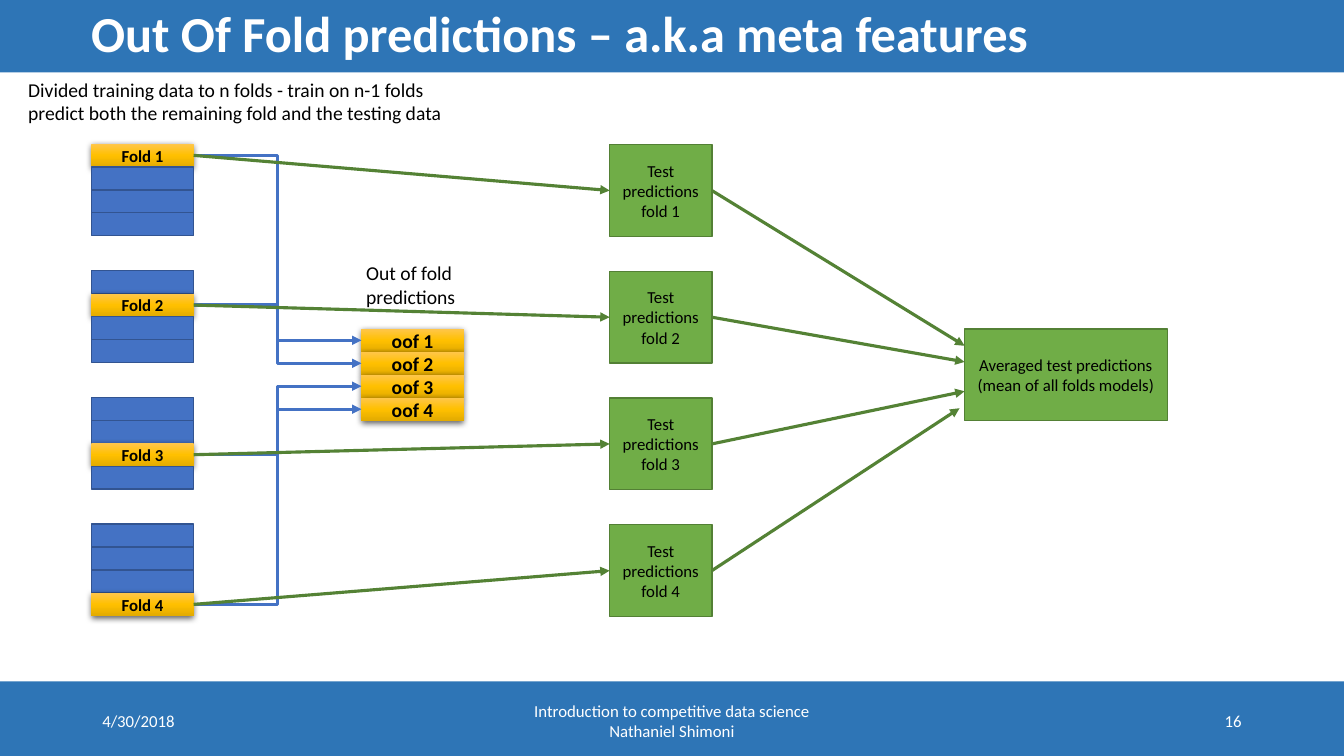
from pptx import Presentation
from pptx.dml.color import RGBColor
from pptx.enum.shapes import MSO_CONNECTOR, MSO_SHAPE
from pptx.enum.text import MSO_ANCHOR, PP_ALIGN
from pptx.oxml import parse_xml
from pptx.oxml.ns import nsdecls
from pptx.util import Pt

BAR_BLUE = RGBColor(0x2E, 0x75, 0xB6)
FOLD_BLUE = RGBColor(0x44, 0x72, 0xC4)
FOLD_EDGE = RGBColor(0x32, 0x54, 0x91)
GREEN = RGBColor(0x70, 0xAD, 0x47)
GREEN_EDGE = RGBColor(0x53, 0x80, 0x35)
GREEN_ARROW = RGBColor(0x54, 0x82, 0x35)
WHITE = RGBColor(0xFF, 0xFF, 0xFF)
BLACK = RGBColor(0, 0, 0)

GOLD_FILL = f"""<a:gradFill {nsdecls('a')} rotWithShape="1"><a:gsLst>
<a:gs pos="0"><a:srgbClr val="FFC64B"/></a:gs>
<a:gs pos="50000"><a:srgbClr val="FFC000"/></a:gs>
<a:gs pos="100000"><a:srgbClr val="E3AB00"/></a:gs>
</a:gsLst><a:lin ang="5400000" scaled="0"/></a:gradFill>"""
GOLD_SHADOW = f"""<a:effectLst {nsdecls('a')}>
<a:outerShdw blurRad="{Pt(4.5)}" dist="{Pt(1.5)}" dir="5400000" algn="ctr" rotWithShape="0">
<a:srgbClr val="000000"><a:alpha val="63000"/></a:srgbClr></a:outerShdw></a:effectLst>"""


class SlideBuilder:
    font = "Calibri"

    def __init__(self, page):
        self.page = page

    def set_text(self, box, lines, size, color=BLACK, bold=False,
                 align=PP_ALIGN.CENTER, anchor=MSO_ANCHOR.MIDDLE):
        frame = box.text_frame
        frame.word_wrap = True
        frame.vertical_anchor = anchor
        frame.text = lines
        for para in frame.paragraphs:
            para.alignment = align
            para.font.name = self.font
            para.font.size = Pt(size)
            para.font.bold = bold
            para.font.color.rgb = color

    def text(self, left, top, width, height, lines, size, **style):
        box = self.page.shapes.add_textbox(Pt(left), Pt(top), Pt(width), Pt(height))
        self.set_text(box, lines, size, **style)
        return box

    def rect(self, left, top, width, height, fill, edge=None):
        box = self.page.shapes.add_shape(
            MSO_SHAPE.RECTANGLE, Pt(left), Pt(top), Pt(width), Pt(height))
        box.shadow.inherit = False
        box.fill.solid()
        box.fill.fore_color.rgb = fill
        if edge is None:
            box.line.fill.background()
        else:
            box.line.color.rgb = edge
            box.line.width = Pt(1)
        return box

    def gold(self, left, top, width, height, label, size):
        box = self.rect(left, top, width, height, WHITE)
        properties = box.element.spPr
        for tag, xml in (("solidFill", GOLD_FILL), ("effectLst", GOLD_SHADOW)):
            properties.replace(properties.xpath(f"./a:{tag}")[0], parse_xml(xml))
        self.set_text(box, label, size, bold=True)

    def green(self, left, top, width, height, label):
        self.set_text(self.rect(left, top, width, height, GREEN, GREEN_EDGE), label, 12)

    def arrow(self, start, end, color, kind=MSO_CONNECTOR.STRAIGHT):
        connector = self.page.shapes.add_connector(kind, *map(Pt, start + end))
        connector.line.color.rgb = color
        connector.line.width = Pt(2.25)
        properties = connector.element.spPr
        properties.xpath("./a:ln")[0].append(
            parse_xml(f'<a:tailEnd {nsdecls("a")} type="triangle"/>'))
        properties.append(parse_xml(f'<a:effectLst {nsdecls("a")}/>'))


deck = Presentation()
deck.slide_width, deck.slide_height = Pt(960), Pt(540)
slide = SlideBuilder(deck.slides.add_slide(deck.slide_layouts[6]))

# Footer and title bars
slide.rect(0, 486.7, 960, 53.3, BAR_BLUE)
slide.text(66, 500.5, 216, 28.8, "4/30/2018", 12, color=WHITE, align=PP_ALIGN.LEFT)
slide.text(318, 500.5, 324, 28.8,
           "Introduction to competitive data science\nNathaniel Shimoni", 12, color=WHITE)
slide.text(678, 500.5, 216, 28.8, "16", 12, color=WHITE, align=PP_ALIGN.RIGHT)
slide.rect(0, -1.5, 960, 53.3, BAR_BLUE)
title = slide.text(58, 0, 828, 51.8, "Out Of Fold predictions – a.k.a meta features", 36,
                   color=WHITE, bold=True, align=PP_ALIGN.LEFT)
title.text_frame.paragraphs[0].line_spacing = 0.9

slide.text(13, 52, 327.6, 41,
           "Divided training data to n folds - train on n-1 folds "
           "predict both the remaining fold and the testing data",
           14, align=PP_ALIGN.LEFT, anchor=MSO_ANCHOR.TOP)

# Shared grid
COUNT = 4
ROW, WIDTH = 16.4, 73
BLOCK = COUNT * ROW
FOLD_LEFT, OOF_LEFT, TEST_LEFT, MEAN_LEFT = 65.3, 258.2, 435.5, 689
FOLD_TOP, TEST_TOP, OOF_TOP, PITCH = 102.8, 103.3, 234.9, 90.5
MEAN_ENDS = [(689, 247), (689, 258.5), (689, 279.5), (685.4, 291.6)]

fold_ends = [(FOLD_LEFT + WIDTH, FOLD_TOP + i * (PITCH + ROW) + ROW / 2) for i in range(COUNT)]
oof_starts = [(OOF_LEFT, OOF_TOP + (i + 0.5) * ROW) for i in range(COUNT)]
test_tops = [TEST_TOP + i * PITCH for i in range(COUNT)]

# Training data: each block holds out one fold
for block in range(COUNT):
    for row in range(COUNT):
        cell = (FOLD_LEFT, FOLD_TOP + block * PITCH + row * ROW, WIDTH, ROW)
        if row == block:
            slide.gold(*cell, f"Fold {block + 1}", 12)
        else:
            slide.rect(*cell, FOLD_BLUE, FOLD_EDGE)

# Out of fold stack and test predictions
for i in range(COUNT):
    slide.gold(OOF_LEFT, OOF_TOP + i * ROW, WIDTH, ROW, f"oof {i + 1}", 14)
for i, top in enumerate(test_tops):
    slide.green(TEST_LEFT, top, WIDTH, BLOCK, f"Test predictions fold {i + 1}")

# Arrows from the folds
for start, end in zip(fold_ends, oof_starts):
    slide.arrow(start, end, FOLD_BLUE, MSO_CONNECTOR.ELBOW)
slide.text(254.5, 183, 81, 41, "Out of fold predictions", 14,
           align=PP_ALIGN.LEFT, anchor=MSO_ANCHOR.TOP)
for start, top in zip(fold_ends, test_tops):
    slide.arrow(start, (TEST_LEFT, top + BLOCK / 2), GREEN_ARROW)

# Averaged predictions
slide.green(MEAN_LEFT, OOF_TOP, 144.8, BLOCK,
            "Averaged test predictions\n(mean of all folds models)")
for top, end in zip(test_tops, MEAN_ENDS):
    slide.arrow((TEST_LEFT + WIDTH, top + BLOCK / 2), end, GREEN_ARROW)

deck.save("out.pptx")
